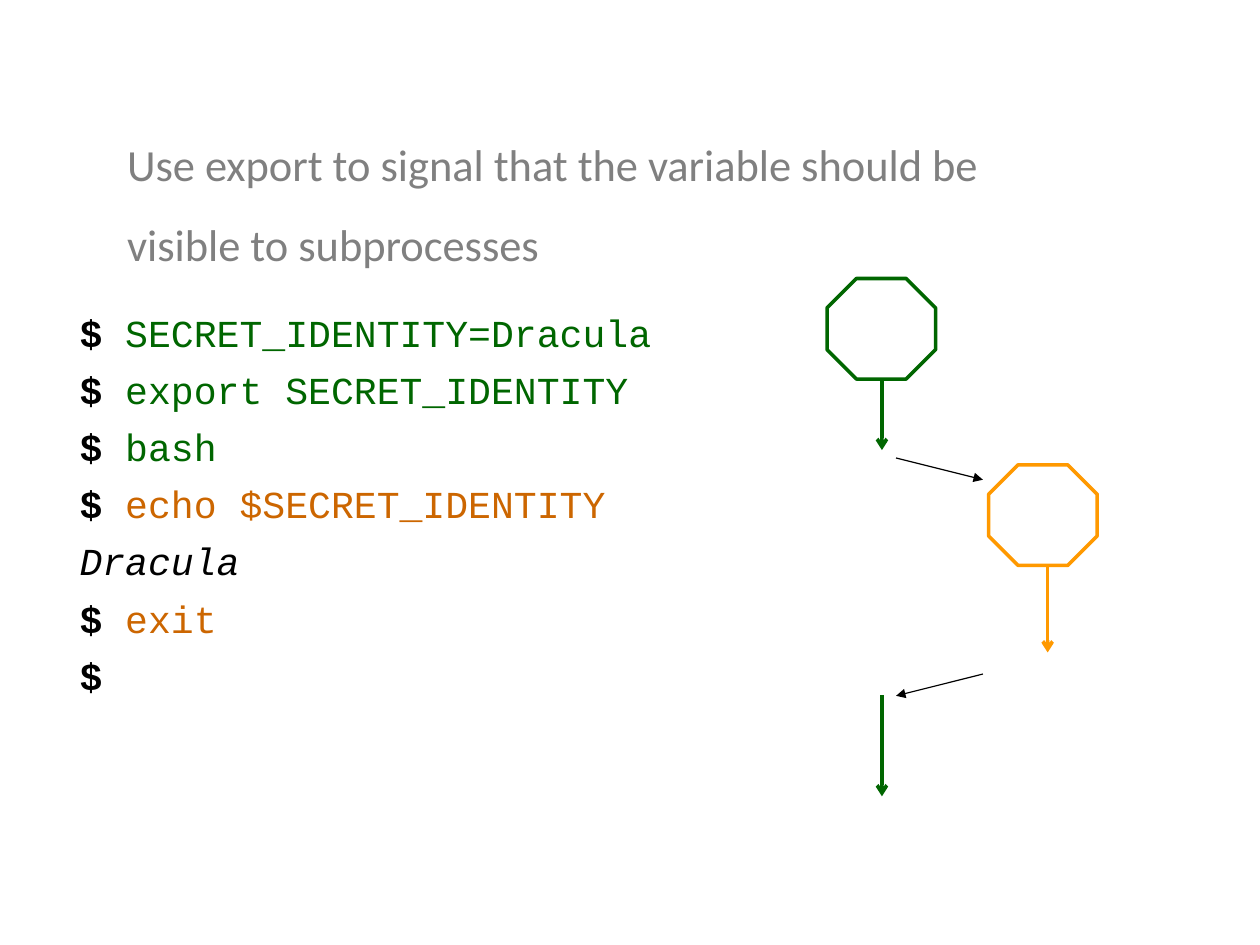
from lxml.etree import SubElement
from pptx import Presentation
from pptx.dml.color import RGBColor
from pptx.enum.shapes import MSO_CONNECTOR, MSO_SHAPE
from pptx.oxml.ns import qn
from pptx.util import Pt

GREY = RGBColor(0x80, 0x80, 0x80)
BLACK = RGBColor(0, 0, 0)
GREEN = RGBColor(0, 0x66, 0)
BROWN = RGBColor(0xCC, 0x66, 0)
ORANGE = RGBColor(0xFF, 0x99, 0)

TITLE_STYLE = {"name": "Calibri", "size": Pt(28)}
CODE_STYLE = {"name": "Courier New", "size": Pt(24)}
PROMPT = {"color": BLACK, "bold": True}
PARENT_SHELL = {"color": GREEN}
CHILD_SHELL = {"color": BROWN}
OUTPUT = {"color": BLACK, "italic": True}


class ProcessSlide:
    """Holds the current slide and the style of its elements."""

    process_size = (68.4, 63.36)
    process_line = 2.25
    switch_line = 0.75

    def __init__(self, presentation):
        self.slide = presentation.slides.add_slide(presentation.slide_layouts[6])

    def text(self, box, lines, style, line_spacing, hanging=0):
        frame = self.slide.shapes.add_textbox(*map(Pt, box)).text_frame
        frame.word_wrap = True
        for index, line in enumerate(lines):
            paragraph = frame.add_paragraph() if index else frame.paragraphs[0]
            paragraph.line_spacing = line_spacing
            if hanging:
                properties = paragraph._p.get_or_add_pPr()
                properties.set("marL", str(Pt(hanging)))
                properties.set("indent", str(Pt(-hanging)))
            for words, run_format in line:
                run = paragraph.add_run()
                run.text = words
                for key, value in {**style, **run_format}.items():
                    if key == "color":
                        run.font.color.rgb = value
                    else:
                        setattr(run.font, key, value)

    def process(self, left, top, color):
        shape = self.slide.shapes.add_shape(
            MSO_SHAPE.OCTAGON, *map(Pt, (left, top, *self.process_size)))
        shape.shadow.inherit = False
        shape.fill.background()
        shape.line.color.rgb = color
        shape.line.width = Pt(self.process_line)

    def arrow(self, start, end, color, width, head):
        connector = self.slide.shapes.add_connector(
            MSO_CONNECTOR.STRAIGHT, *map(Pt, (*start, *end)))
        connector.line.color.rgb = color
        connector.line.width = Pt(width)
        SubElement(connector.line._get_or_add_ln(), qn("a:tailEnd"), type=head)
        SubElement(connector._element.spPr, qn("a:effectLst"))

    def timeline(self, x, top, bottom, color):
        self.arrow((x, top), (x, bottom), color, self.process_line, "arrow")

    def switch(self, start, end):
        self.arrow(start, end, BLACK, self.switch_line, "triangle")


def main():
    presentation = Presentation()
    presentation.slide_width = Pt(793.75)
    presentation.slide_height = Pt(595.25)
    slide = ProcessSlide(presentation)

    # Statement
    statement = ["Use export to signal that the variable should be",
                 "visible to subprocesses"]
    slide.text((73, 66.2, 556.5, 109.4),
               [[(line, {"color": GREY})] for line in statement],
               TITLE_STYLE, 1.5, hanging=36)

    # Shell session
    session = [
        [("$ ", PROMPT), ("SECRET_IDENTITY=Dracula", PARENT_SHELL)],
        [("$ ", PROMPT), ("export SECRET_IDENTITY", PARENT_SHELL)],
        [("$ ", PROMPT), ("bash", PARENT_SHELL)],
        [("$ ", PROMPT), ("echo $SECRET_IDENTITY", CHILD_SHELL)],
        [("Dracula", OUTPUT)],
        [("$ ", PROMPT), ("exit", CHILD_SHELL)],
        [("$", PROMPT)],
    ]
    slide.text((43, 184, 682.5, 335.5), session, CODE_STYLE, 1.25)

    # Parent and child processes
    slide.process(521, 175.4, GREEN)
    slide.process(622.8, 292.8, ORANGE)

    # Running time of each process
    slide.timeline(555.6, 238.5, 283.5, GREEN)
    slide.timeline(555.6, 438, 501.6, GREEN)
    slide.timeline(660, 356.2, 411, ORANGE)

    # Switches between the processes
    slide.switch((564.5, 288.5), (619.2, 302.2))
    slide.switch((619.2, 424.6), (564.5, 438.3))

    presentation.save("out.pptx")


if __name__ == "__main__":
    main()
